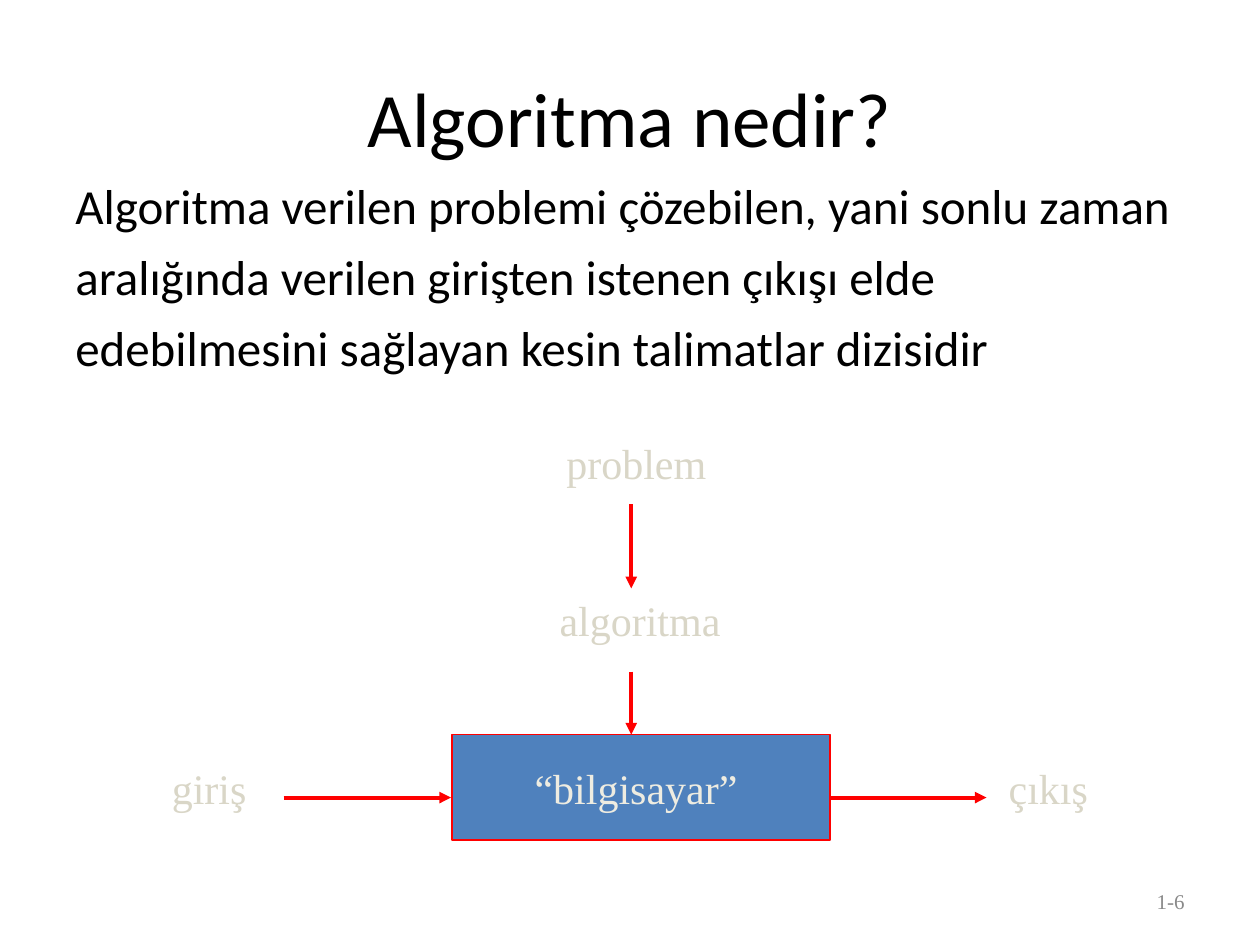
from typing import NamedTuple

from lxml.etree import SubElement
from pptx import Presentation
from pptx.dml.color import RGBColor
from pptx.enum.shapes import MSO_CONNECTOR, MSO_SHAPE
from pptx.enum.text import MSO_ANCHOR, PP_ALIGN
from pptx.oxml.ns import qn
from pptx.util import Emu, Pt

PX = 9144  # EMU per px, 100 px to the inch
COLORS = {"black": "000000", "gray": "898989", "cream": "EEECE1",
          "sand": "D9D6C7", "blue": "4F81BD", "red": "FF0000"}
SANS, SERIF = "Calibri", "Times New Roman"


class Style(NamedTuple):
    font: str
    size: int
    color: str
    align: PP_ALIGN = PP_ALIGN.CENTER
    anchor: MSO_ANCHOR = MSO_ANCHOR.MIDDLE


class Label(NamedTuple):
    text: str
    x: int  # centre
    y: int


class Arrow(NamedTuple):
    x1: int
    y1: int
    x2: int
    y2: int


HEAD = Style(SANS, 44, "black")
BODY = Style(SANS, 28, "black", PP_ALIGN.LEFT, MSO_ANCHOR.TOP)
CORE = Style(SERIF, 24, "cream")
NOTE = Style(SERIF, 24, "sand")  # dark enough to read on white
PAGE = Style(SERIF, 12, "gray", PP_ALIGN.RIGHT)

LINES = ["Algoritma verilen problemi çözebilen, yani sonlu zaman",
         "aralığında verilen girişten istenen çıkışı elde",
         "edebilmesini sağlayan kesin talimatlar dizisidir"]
LABELS = [Label("problem", 505, 367), Label("algoritma", 508, 492),
          Label("giriş", 166, 625), Label("çıkış", 832, 625)]
ARROWS = [Arrow(501, 400, 501, 467), Arrow(501, 533, 501, 583),
          Arrow(225, 633, 358, 633), Arrow(658, 633, 783, 633)]


def rgb(name: str) -> RGBColor:
    return RGBColor.from_string(COLORS[name])


def px(*sizes: int) -> list[Emu]:
    return [Emu(size * PX) for size in sizes]


def write(shape, text: str, style: Style, wrap: bool = True) -> None:
    frame = shape.text_frame
    frame.text = text
    frame.word_wrap = wrap
    frame.vertical_anchor = style.anchor
    for para in frame.paragraphs:
        para.alignment = style.align
        for run in para.runs:
            run.font.name = style.font
            run.font.size = Pt(style.size)
            run.font.color.rgb = rgb(style.color)


def add_text(slide, text: str, box: tuple, style: Style):
    shape = slide.shapes.add_textbox(*px(*box))
    write(shape, text, style)
    return shape


def add_label(slide, label: Label) -> None:
    wide, high = 160, 50
    box = (label.x - wide // 2, label.y - high // 2, wide, high)
    add_text(slide, label.text, box, NOTE)


def add_arrow(slide, arrow: Arrow) -> None:
    line = slide.shapes.add_connector(MSO_CONNECTOR.STRAIGHT, *px(*arrow))
    line.line.color.rgb = rgb("red")
    line.line.width = Pt(2.25)
    SubElement(line.line._get_or_add_ln(), qn("a:tailEnd"), type="triangle")
    SubElement(line._element.spPr, qn("a:effectLst"))


def main() -> None:
    deck = Presentation()
    deck.slide_width, deck.slide_height = px(1000, 750)
    slide = deck.slides.add_slide(deck.slide_layouts[5])

    # Title
    title = slide.shapes.title
    title.left, title.top, title.width, title.height = px(50, 30, 900, 125)
    write(title, "Algoritma nedir?", HEAD)

    # Definition
    body = add_text(slide, "\n".join(LINES), (50, 134, 950, 560), BODY)
    for para in body.text_frame.paragraphs[1:]:
        para.space_before = Pt(7)

    # Page number
    add_text(slide, "1-6", (717, 695, 233, 40), PAGE)

    # Computer box
    box = slide.shapes.add_shape(MSO_SHAPE.RECTANGLE, *px(359, 583, 300, 84))
    box.shadow.inherit = False
    box.fill.solid()
    box.fill.fore_color.rgb = rgb("blue")
    box.line.color.rgb = rgb("red")
    box.line.width = Pt(1)
    write(box, "“bilgisayar” ", CORE, wrap=False)

    # Flow around the box
    for label in LABELS:
        add_label(slide, label)
    for arrow in ARROWS:
        add_arrow(slide, arrow)

    deck.save("out.pptx")


if __name__ == "__main__":
    main()
